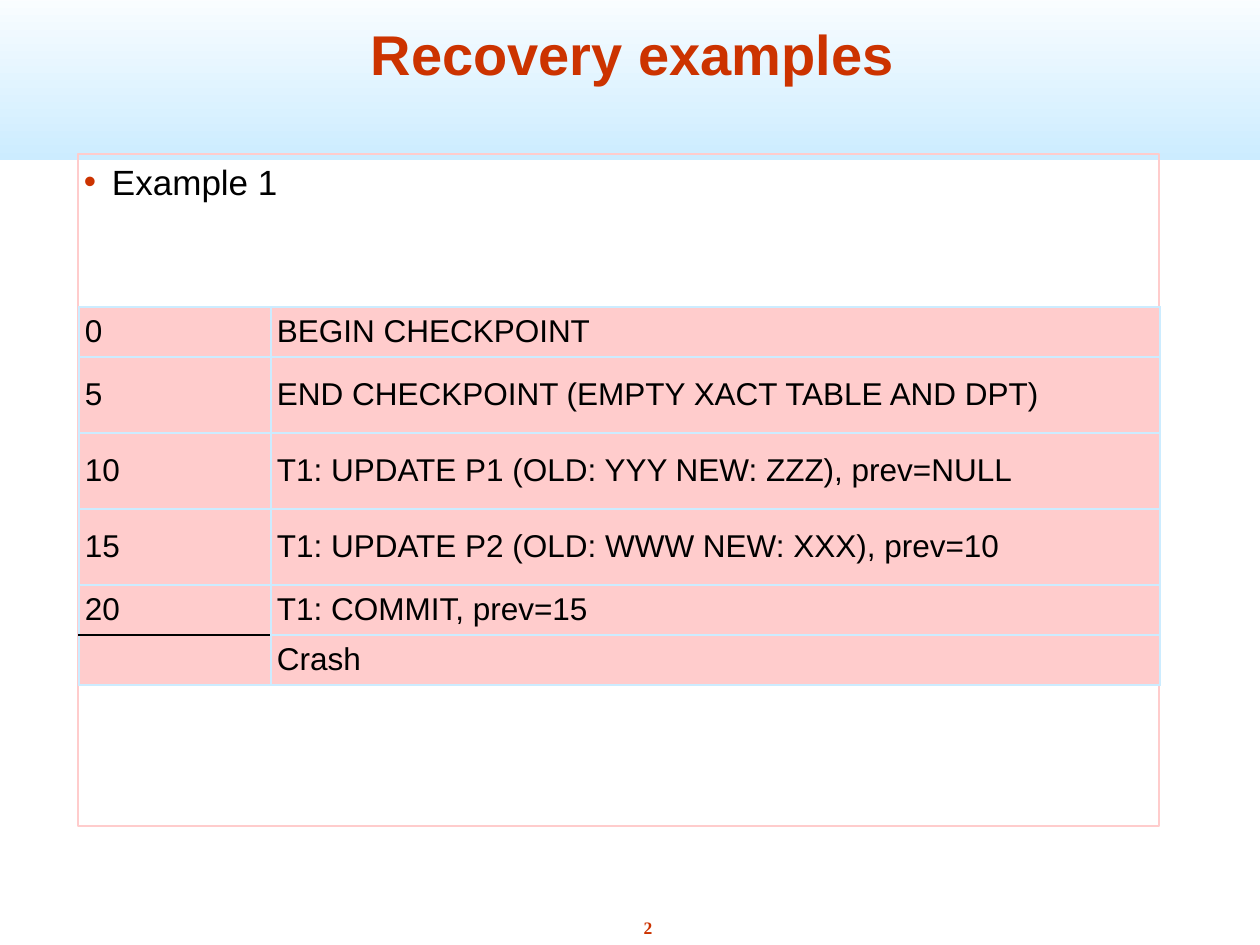
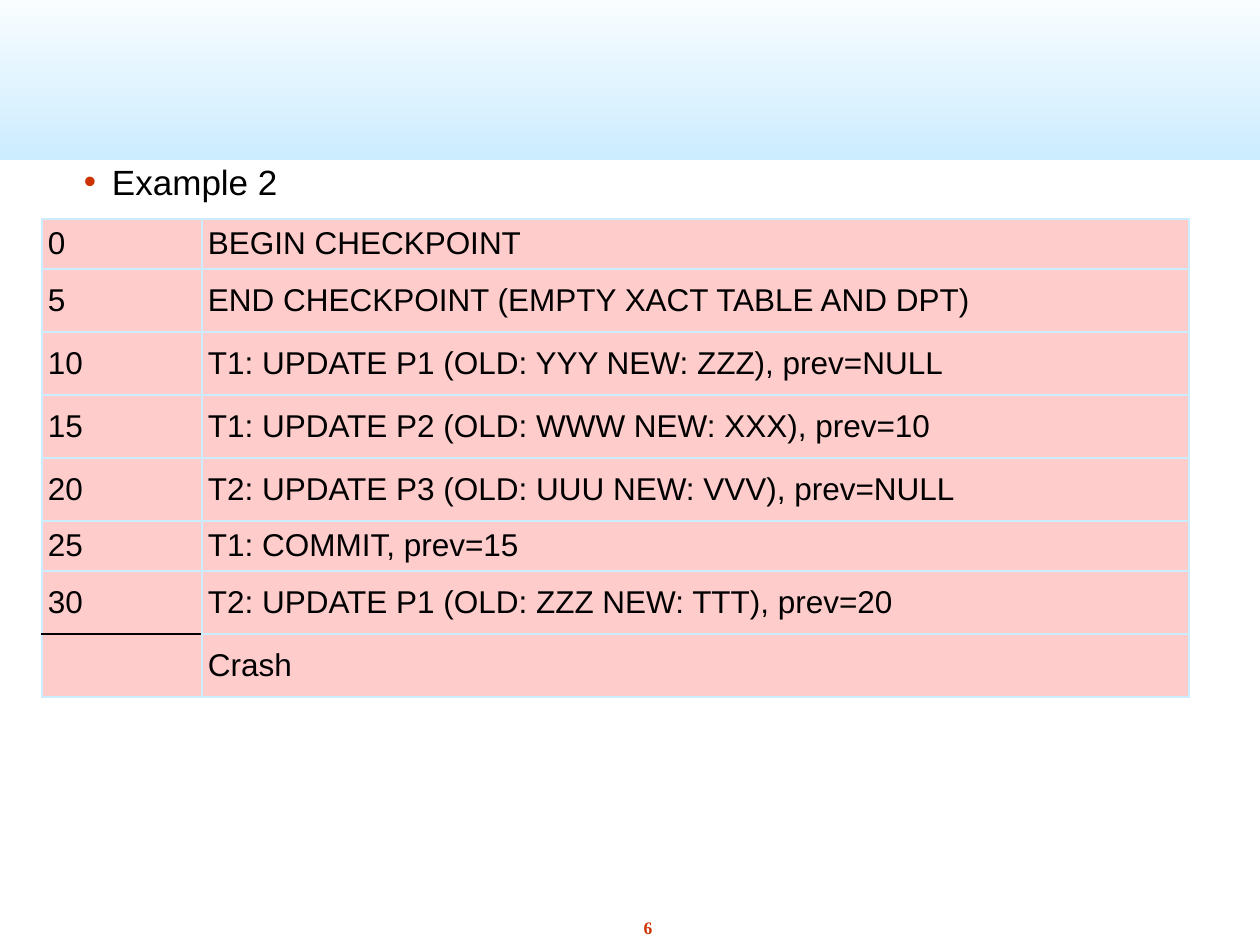
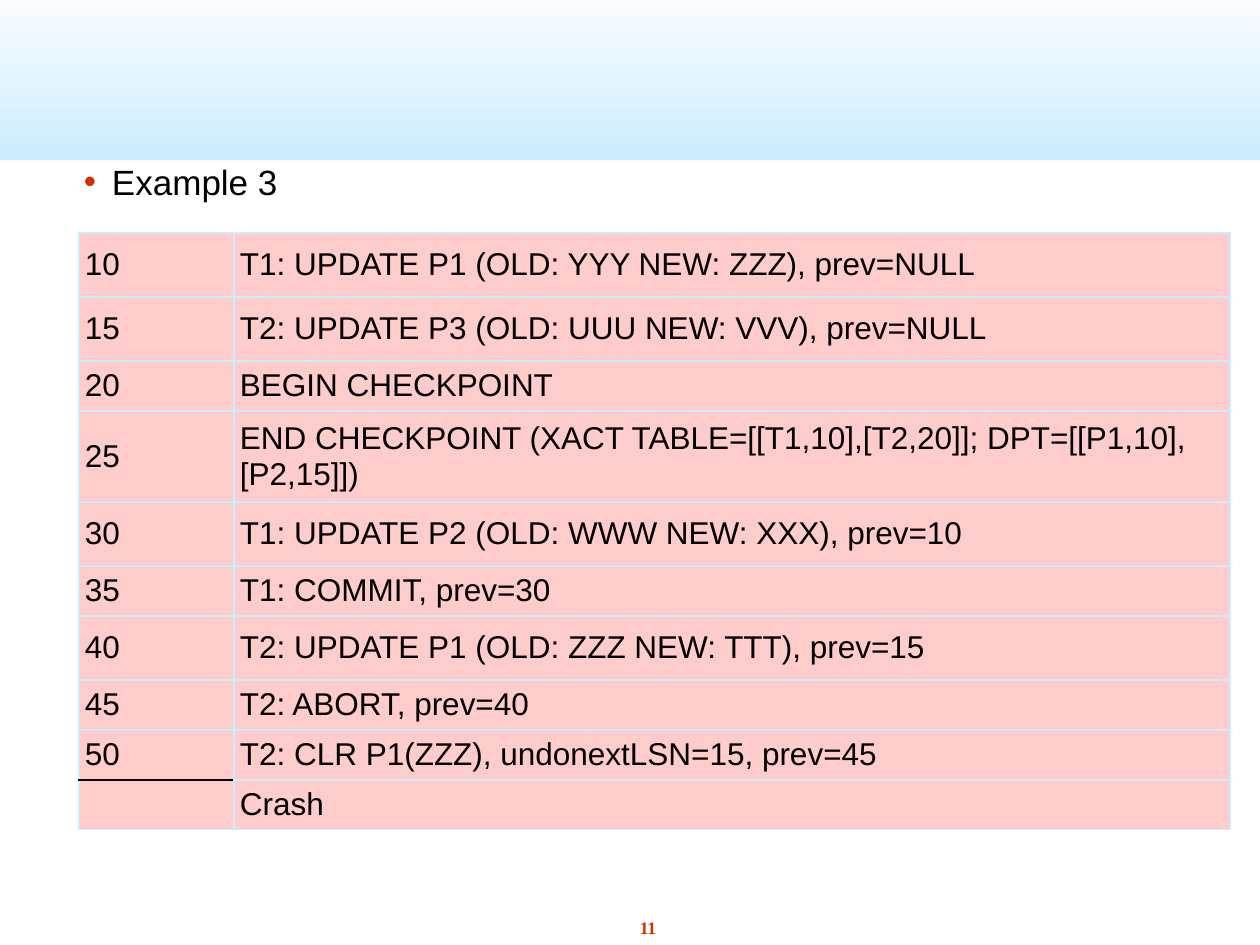
from lxml.etree import SubElement
from pptx import Presentation
from pptx.dml.color import RGBColor
from pptx.enum.shapes import MSO_SHAPE as Shape
from pptx.enum.text import MSO_ANCHOR as Anchor, MSO_AUTO_SIZE as AutoSize, PP_ALIGN as Align
from pptx.oxml.ns import qn
from pptx.util import Pt

RED, PINK, SKY, WHITE, BLACK = "CC3300", "FFCCCC", "CCECFF", "FFFFFF", "000000"
SHORT, DOUBLE = 50, 91  # row heights for one and two lines

SLIDES = [
    dict(number="2", title="Recovery examples", heading="Example 1", outline=PINK,
         corner=(79, 307), columns=(192, 889), tall=76,
         log=[("0", "BEGIN CHECKPOINT", "short"),
              ("5", "END CHECKPOINT (EMPTY XACT TABLE AND DPT)", "tall"),
              ("10", "T1: UPDATE P1 (OLD: YYY NEW: ZZZ), prev=NULL", "tall"),
              ("15", "T1: UPDATE P2 (OLD: WWW NEW: XXX), prev=10", "tall"),
              ("20", "T1: COMMIT, prev=15", "short"),
              ("", "Crash", "short")]),
    dict(number="6", title=None, heading="Example 2", outline=None,
         corner=(42, 219), columns=(160, 987), tall=63,
         log=[("0", "BEGIN CHECKPOINT", "short"),
              ("5", "END CHECKPOINT (EMPTY XACT TABLE AND DPT)", "tall"),
              ("10", "T1: UPDATE P1 (OLD: YYY NEW: ZZZ), prev=NULL", "tall"),
              ("15", "T1: UPDATE P2 (OLD: WWW NEW: XXX), prev=10", "tall"),
              ("20", "T2: UPDATE P3 (OLD: UUU NEW: VVV), prev=NULL", "tall"),
              ("25", "T1: COMMIT, prev=15", "short"),
              ("30", "T2: UPDATE P1 (OLD: ZZZ NEW: TTT), prev=20", "tall"),
              ("", "Crash", "tall")]),
    dict(number="11", title=None, heading="Example 3", outline=None,
         corner=(79, 233), columns=(155, 996), tall=64,
         log=[("10", "T1: UPDATE P1 (OLD: YYY NEW: ZZZ), prev=NULL", "tall"),
              ("15", "T2: UPDATE P3 (OLD: UUU NEW: VVV), prev=NULL", "tall"),
              ("20", "BEGIN CHECKPOINT", "short"),
              ("25", "END CHECKPOINT (XACT TABLE=[[T1,10],[T2,20]]; DPT=[[P1,10],[P2,15]])",
               "double"),
              ("30", "T1: UPDATE P2 (OLD: WWW NEW: XXX), prev=10", "tall"),
              ("35", "T1: COMMIT, prev=30", "short"),
              ("40", "T2: UPDATE P1 (OLD: ZZZ NEW: TTT), prev=15", "tall"),
              ("45", "T2: ABORT, prev=40", "short"),
              ("50", "T2: CLR P1(ZZZ), undonextLSN=15, prev=45", "short"),
              ("", "Crash", "short")]),
]


def px(pixels):
    """Turn pixels into EMU."""
    return round(pixels * 914400 / 126)


def color(value):
    """Turn a hex string into a colour."""
    return RGBColor.from_string(value)


def write(frame, text, size=18, font="Arial", ink=BLACK, bold=False,
          align=Align.LEFT, before=0, wrap=True, fit=AutoSize.NONE, anchor=Anchor.TOP):
    """Put one formatted paragraph in a text frame and return it."""
    frame.word_wrap, frame.auto_size, frame.vertical_anchor = wrap, fit, anchor
    frame.margin_left = frame.margin_right = px(6)
    frame.margin_top = frame.margin_bottom = px(6)
    paragraph = frame.paragraphs[0]
    paragraph.alignment, paragraph.space_before = align, Pt(before)
    run = paragraph.add_run()
    run.text = text
    run.font.size, run.font.name, run.font.bold = Pt(size), font, bold
    run.font.color.rgb = color(ink)
    return paragraph


def add_bullet(paragraph, indent=28):
    """Give a paragraph a red round bullet with a hanging indent."""
    props = paragraph._p.get_or_add_pPr()
    props.set("marL", str(px(indent)))
    props.set("indent", str(-px(indent)))
    SubElement(SubElement(props, qn("a:buClr")), qn("a:srgbClr")).set("val", RED)
    SubElement(props, qn("a:buFont")).set("typeface", "Arial")
    SubElement(props, qn("a:buChar")).set("char", "•")


def add_borders(cell, **sides):
    """Draw 1 pt borders around a cell; sides override the sky colour."""
    props = cell._tc.get_or_add_tcPr()
    for side in "LRTB":
        line = SubElement(props, qn("a:ln" + side), w=str(Pt(1)))
        fill = SubElement(line, qn("a:solidFill"))
        SubElement(fill, qn("a:srgbClr")).set("val", sides.get(side, SKY))


def add_band(slide, master):
    """Draw the gradient band and move it behind everything on the master."""
    band = slide.shapes.add_shape(Shape.RECTANGLE, 0, px(-21), px(1260), px(181))
    band.shadow.inherit = False
    band.line.fill.background()
    band.fill.gradient()
    band.fill.gradient_angle = 90
    for stop, shade in zip(band.fill.gradient_stops, (SKY, WHITE)):
        stop.color.rgb = color(shade)
    band.element.xpath("./p:nvSpPr/p:cNvPr")[0].set("id", "99")
    master.shapes.element.insert(2, band.element)


def add_title(slide, text):
    """Place and format the title placeholder."""
    title = slide.shapes.title
    title.left, title.top, title.width, title.height = map(px, (76, 9, 1113, 84))
    write(title.text_frame, text, size=32, ink=RED, bold=True,
          align=Align.CENTER, anchor=Anchor.BOTTOM)


def add_number(slide, number):
    """Write the slide number, centred at the foot."""
    width = 15 + 9 * len(number)
    box = slide.shapes.add_textbox(px(648 - width / 2), px(911), px(width), px(34))
    write(box.text_frame, number, size=10, font="Times New Roman", ink=RED, bold=True,
          align=Align.CENTER, before=6, wrap=False, fit=AutoSize.SHAPE_TO_FIT_TEXT)


def add_heading(slide, text, outline):
    """Write the bulleted heading in the body area, outlined if asked."""
    body = slide.shapes.add_textbox(*map(px, (78, 154, 1081, 672)))
    add_bullet(write(body.text_frame, text, size=20, before=8))
    if outline:
        body.line.color.rgb = color(outline)
        body.line.width = Pt(0.75)


def add_log(slide, log, corner, columns, tall):
    """Build the log table, with a black rule before the crash row."""
    heights = [{"short": SHORT, "tall": tall, "double": DOUBLE}[kind] for *_, kind in log]
    table = slide.shapes.add_table(len(log), len(columns), *map(px, corner),
                                   px(sum(columns)), px(sum(heights))).table
    table.first_row = table.horz_banding = False
    for column, width in zip(table.columns, columns):
        column.width = px(width)
    crash = len(log) - 1
    for index, (lsn, record, _) in enumerate(log):
        table.rows[index].height = px(heights[index])
        for place, text in enumerate((lsn, record)):
            cell = table.cell(index, place)
            rule = {}
            if place == 0 and index >= crash - 1:
                rule = {"T" if index == crash else "B": BLACK}
            add_borders(cell, **rule)
            cell.fill.solid()
            cell.fill.fore_color.rgb = color(PINK)
            cell.vertical_anchor = Anchor.MIDDLE
            cell.margin_left = cell.margin_right = px(6)
            cell.margin_top = cell.margin_bottom = px(6)
            if text:
                run = cell.text_frame.paragraphs[0].add_run()
                run.text = text
                run.font.size, run.font.name = Pt(18), "Arial"
                run.font.color.rgb = color(BLACK)


deck = Presentation()
deck.slide_width, deck.slide_height = px(1260), px(945)
title_only, blank = deck.slide_layouts[5], deck.slide_layouts[6]

for content in SLIDES:
    page = deck.slides.add_slide(title_only if content["title"] else blank)
    if content is SLIDES[0]:
        add_band(page, deck.slide_master)
    add_number(page, content["number"])
    if content["title"]:
        add_title(page, content["title"])
    add_heading(page, content["heading"], content["outline"])
    add_log(page, content["log"], content["corner"], content["columns"], content["tall"])

deck.save("out.pptx")
